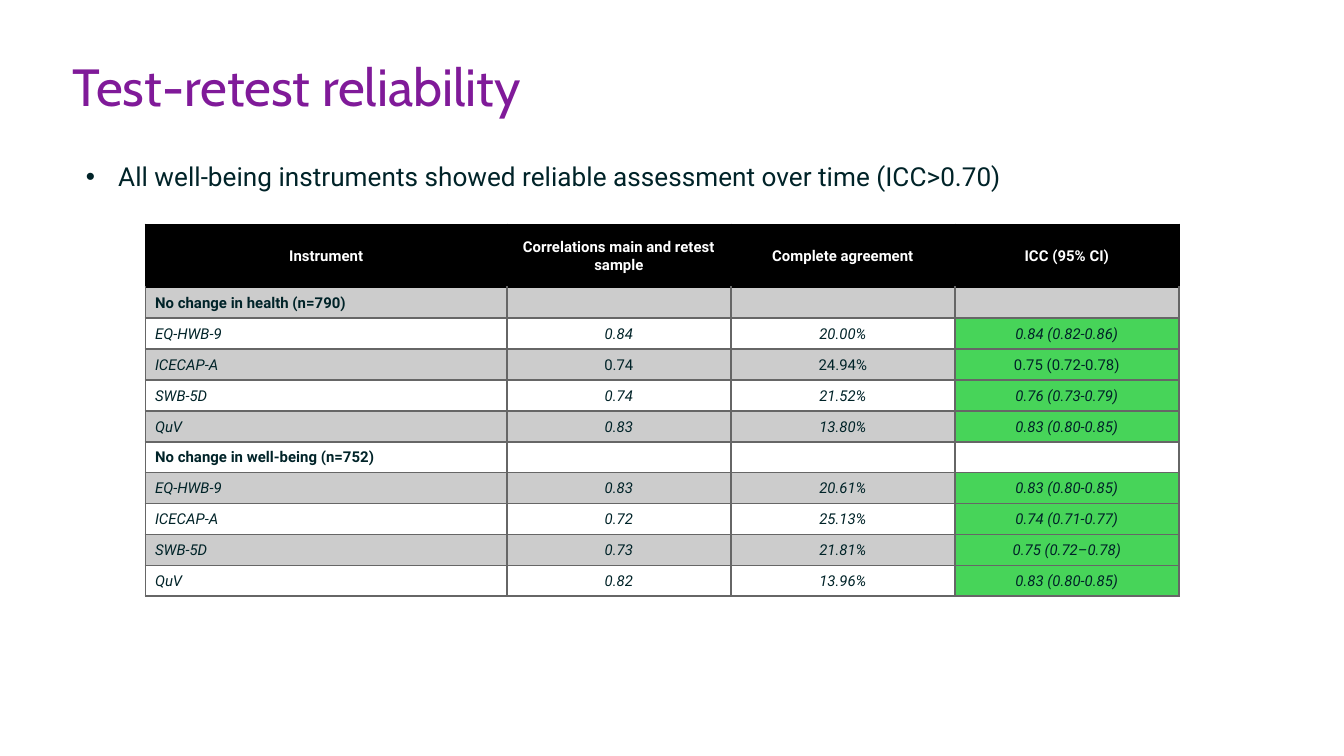
import pptx
import pptx.dml.color
import pptx.enum.shapes
import pptx.enum.text
import pptx.util
from lxml import etree
from pptx.oxml import ns

Cm, Pt = pptx.util.Cm, pptx.util.Pt
ALIGN, ANCHOR = pptx.enum.text.PP_ALIGN, pptx.enum.text.MSO_ANCHOR

PURPLE, INK, WHITE, BLACK = "801A99", "002328", "FFFFFF", "000000"
GREY, GREEN, BORDER = "CCCCCC", "47D459", "666666"

HEADINGS = ["Instrument", "Correlations main and retest sample",
            "Complete agreement", "ICC (95% CI)"]
GROUPS = {
    "No change in health (n=790)": [
        ("EQ-HWB-9", "0.84", "20.00%", "0.84 (0.82-0.86)"),
        ("ICECAP-A", "0.74", "24.94%", "0.75 (0.72-0.78)"),
        ("SWB-5D", "0.74", "21.52%", "0.76 (0.73-0.79)"),
        ("QuV", "0.83", "13.80%", "0.83 (0.80-0.85)"),
    ],
    "No change in well-being (n=752)": [
        ("EQ-HWB-9", "0.83", "20.61%", "0.83 (0.80-0.85)"),
        ("ICECAP-A", "0.72", "25.13%", "0.74 (0.71-0.77)"),
        ("SWB-5D", "0.73", "21.81%", "0.75 (0.72–0.78)"),
        ("QuV", "0.82", "13.96%", "0.83 (0.80-0.85)"),
    ],
}
UPRIGHT_ROW = 3  # the values in this row are not italic


def rgb(value):
    return pptx.dml.color.RGBColor.from_string(value)


def apply_format(target, values):
    for name, value in values.items():
        setattr(target, name, value)


def add_span(para, text, color, **font):
    span = para.add_run()
    span.text = text
    apply_format(span.font, font)
    span.font.color.rgb = rgb(color)


def place(shape, box):
    names = ("left", "top", "width", "height")
    apply_format(shape, {name: Cm(value) for name, value in zip(names, box)})


def fill_title(page, box):
    title = page.shapes.title
    place(title, box)
    frame = title.text_frame
    apply_format(frame, dict(margin_left=0, margin_top=0, margin_right=0, margin_bottom=0,
                             vertical_anchor=ANCHOR.TOP, word_wrap=True,
                             auto_size=pptx.enum.text.MSO_AUTO_SIZE.NONE))
    para = frame.paragraphs[0]
    apply_format(para, dict(alignment=ALIGN.LEFT, line_spacing=Pt(32)))
    add_span(para, "Test-retest reliability", PURPLE, name="Cabin", size=Pt(28))


def add_corner_panel(page, box):
    panel = page.shapes.add_shape(pptx.enum.shapes.MSO_SHAPE.RECTANGLE,
                                  *[Cm(value) for value in box])
    panel.shadow.inherit = False
    panel.fill.solid()
    panel.fill.fore_color.rgb = rgb(WHITE)
    panel.line.color.rgb = rgb(WHITE)
    panel.line.width = Pt(0.75)


def fill_body(page, box):
    body = page.placeholders[1]
    place(body, box)
    frame = body.text_frame
    apply_format(frame, dict(vertical_anchor=ANCHOR.TOP, word_wrap=True,
                             auto_size=pptx.enum.text.MSO_AUTO_SIZE.NONE))
    para = frame.paragraphs[0]
    apply_format(para, dict(line_spacing=Pt(23), space_before=Pt(0)))
    # Hanging bullet
    settings = para._p.get_or_add_pPr()
    settings.set("marL", str(Cm(0.61)))
    settings.set("indent", str(-Cm(0.61)))
    etree.SubElement(settings, ns.qn("a:buChar"), char="•")
    add_span(para, "All well-being instruments showed reliable assessment over time (ICC>0.70)",
             INK, name="Roboto", size=Pt(14))


def draw_borders(cell, colors):
    settings = cell._tc.get_or_add_tcPr()
    for side, color in colors.items():
        line = etree.SubElement(settings, ns.qn("a:ln" + side), w=str(Pt(1)))
        solid = etree.SubElement(line, ns.qn("a:solidFill"))
        etree.SubElement(solid, ns.qn("a:srgbClr"), val=color)


def format_cell(cell, text, color, fill, borders, centred, **font):
    apply_format(cell, dict(vertical_anchor=ANCHOR.MIDDLE, margin_top=0, margin_bottom=0,
                            margin_left=Cm(0.18), margin_right=Cm(0.18)))
    draw_borders(cell, borders)
    if fill:
        cell.fill.solid()
        cell.fill.fore_color.rgb = rgb(fill)
    else:
        cell.fill.background()
    para = cell.text_frame.paragraphs[0]
    apply_format(para, dict(alignment=ALIGN.CENTER if centred else ALIGN.LEFT,
                            line_spacing=1.07, space_after=Pt(8)))
    if text:
        add_span(para, text, color, name="Roboto", size=Pt(8), **font)
    else:
        # Small text size keeps an empty row from growing
        etree.SubElement(para._p, ns.qn("a:endParaRPr"), sz="800")


def add_reliability_table(page, box):
    rows = [HEADINGS]
    for group, results in GROUPS.items():
        rows += [(group, "", "", ""), *results]
    left, top, width, height = box
    table = page.shapes.add_table(len(rows), len(HEADINGS), Cm(left), Cm(top),
                                  Cm(width), Cm(height)).table
    table.horz_banding = False

    # Wide first column, tall heading row; the rest share what is left
    first_width, heading_height = 6.83, 1.19
    for index, column in enumerate(table.columns):
        column.width = Cm((width - first_width) / 3 if index else first_width)
    for index, row in enumerate(table.rows):
        row.height = Cm((height - heading_height) / (len(rows) - 1) if index else heading_height)

    for r, values in enumerate(rows):
        heading, group = r == 0, values[0] in GROUPS
        borders = dict.fromkeys("LRTB", BLACK if heading else BORDER)
        if r == 1:
            borders["T"] = BLACK
        for c, text in enumerate(values):
            fill = GREY if r % 2 else None
            if heading:
                fill = BLACK
            elif c == 3 and not group:
                fill = GREEN
            upright = heading or group or (r == UPRIGHT_ROW and c > 0)
            format_cell(table.cell(r, c), text, WHITE if heading else INK, fill, borders,
                        centred=heading or c > 0, bold=heading or group, italic=not upright)


def main():
    deck = pptx.Presentation()
    deck.slide_width, deck.slide_height = Cm(25.4), Cm(14.29)
    page = deck.slides.add_slide(deck.slide_layouts[1])
    fill_title(page, (1.37, 1.09, 22.71, 1.6))
    add_corner_panel(page, (19.05, 11.79, 5.74, 1.65))
    fill_body(page, (1.37, 2.69, 20.07, 9.3))
    add_reliability_table(page, (2.75, 4.24, 19.53, 7.03))
    deck.save("out.pptx")


if __name__ == "__main__":
    main()
